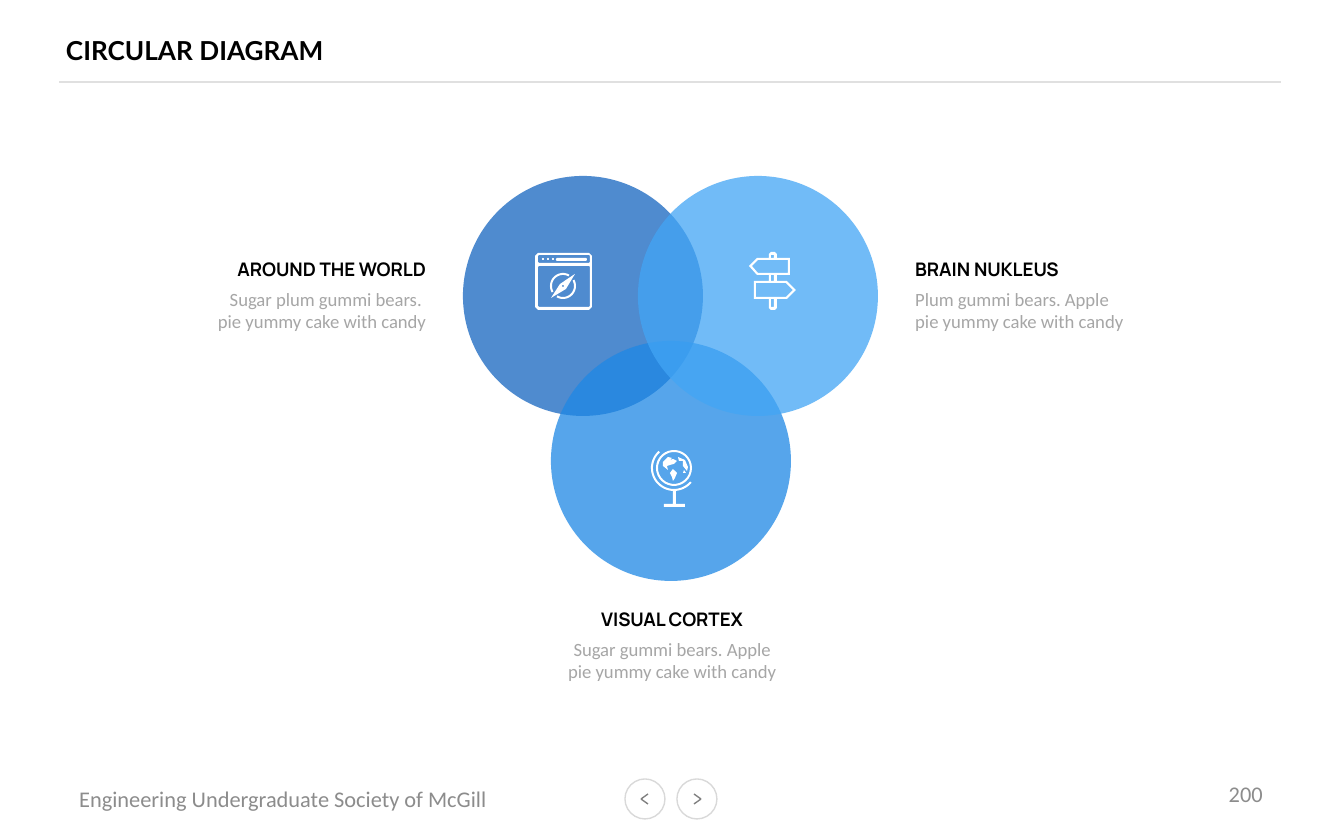
import math

import pptx
import pptx.dml.color
import pptx.enum.shapes
import pptx.enum.text
import pptx.oxml
import pptx.oxml.ns
import pptx.util

SCALE = 914400 / 134.4  # EMU in one px
ALIGN = pptx.enum.text.PP_ALIGN
ANCHOR = pptx.enum.text.MSO_ANCHOR
AUTO = pptx.enum.text.MSO_AUTO_SIZE
WHITE, BLACK, GREY, PALE = "FFFFFF", "000000", "8C8C8C", "A6A6A6"
BODY_WIDTH = 288


def px(n):
    return pptx.util.Emu(round(n * SCALE))


def rgb(hex_string):
    return pptx.dml.color.RGBColor.from_string(hex_string)


def paint(sp, fill, line=None, alpha=None):
    """Set fill, outline and transparency, and drop the shadow."""
    sp.shadow.inherit = False
    sp.fill.solid()
    sp.fill.fore_color.rgb = rgb(fill)
    if alpha:
        color = sp.fill._xPr.find(".//" + pptx.oxml.ns.qn("a:srgbClr"))
        color.append(pptx.oxml.parse_xml(
            f'<a:alpha {pptx.oxml.ns.nsdecls("a")} val="{alpha * 1000}"/>'))
    if line:
        sp.line.color.rgb = rgb(line)
        sp.line.width = pptx.util.Pt(0.75)
    else:
        sp.line.fill.background()


def add_circle(s, cx, cy, r, fill, line=None, alpha=None):
    sp = s.shapes.add_shape(pptx.enum.shapes.MSO_SHAPE.OVAL,
                            px(cx - r), px(cy - r), px(2 * r), px(2 * r))
    paint(sp, fill, line, alpha)


def add_line(s, x1, y1, x2, y2, color):
    line = s.shapes.add_connector(pptx.enum.shapes.MSO_CONNECTOR.STRAIGHT,
                                  px(x1), px(y1), px(x2), px(y2))
    line.line.color.rgb = rgb(color)
    line.line.width = pptx.util.Pt(0.75)
    line._element.spPr.append(pptx.oxml.parse_xml(
        f'<a:effectLst {pptx.oxml.ns.nsdecls("a")}/>'))


def add_icon(s, contours):
    """Draw one white shape; a contour inside another cuts a hole."""
    contours = [[(px(x), px(y)) for x, y in points] for points in contours]
    builder = s.shapes.build_freeform(*contours[0][0])
    for i, (first, *rest) in enumerate(contours):
        if i:
            builder.move_to(*first)
        builder.add_line_segments(rest, close=True)
    paint(builder.convert_to_shape(), WHITE)


def arc(cx, cy, r, start=0, end=360):
    """Points of an arc in degrees, clockwise from east."""
    steps = 30
    angles = [math.radians(start + (end - start) * i / steps) for i in range(steps + 1)]
    return [(cx + r * math.cos(a), cy + r * math.sin(a)) for a in angles]


def band(cx, cy, inner, outer, start, end):
    return arc(cx, cy, outer, start, end) + arc(cx, cy, inner, end, start)


def box(left, top, right, bottom, cut=0):
    """Points of a rectangle with its corners cut off."""
    return [(left + cut, top), (right - cut, top), (right, top + cut),
            (right, bottom - cut), (right - cut, bottom), (left + cut, bottom),
            (left, bottom - cut), (left, top + cut)]


def add_text(s, x, y, w, h, lines, size, font, color, bold=False,
             align=ALIGN.LEFT, anchor=ANCHOR.TOP, wrap=True, auto=AUTO.NONE, inset=None):
    tf = s.shapes.add_textbox(px(x), px(y), px(w), px(h)).text_frame
    tf.word_wrap = wrap
    tf.auto_size = auto
    tf.vertical_anchor = anchor
    if inset is not None:
        tf.margin_left = tf.margin_right = tf.margin_top = tf.margin_bottom = px(inset)
    tf.text = "\n".join(lines)
    for p in tf.paragraphs:
        p.alignment = align
        for r in p.runs:
            r.font.size = pptx.util.Pt(size)
            r.font.name = font
            r.font.bold = bold
            r.font.color.rgb = rgb(color)


def add_caption(s, x, y, heading, heading_width, lines, align):
    """Put a heading over two lines of text, both set to the same side."""
    spare = BODY_WIDTH - heading_width
    shift = {ALIGN.LEFT: 0, ALIGN.CENTER: spare / 2, ALIGN.RIGHT: spare}[align]
    add_text(s, x, y + 30, BODY_WIDTH, 59, lines, 10, "Calibri", PALE,
             align=align, auto=AUTO.SHAPE_TO_FIT_TEXT)
    add_text(s, x + shift, y, heading_width, 36, [heading], 10, "Manrope", BLACK,
             bold=True, align=align, wrap=False, auto=AUTO.SHAPE_TO_FIT_TEXT)


def add_nav_button(s, cx, cy, direction):
    add_circle(s, cx, cy, 20, WHITE, line="D9D9D9")
    for dy in (-5, 5):
        add_line(s, cx + 4 * direction, cy, cx - 3 * direction, cy + dy, "808080")


def add_browser_icon(s):
    dots = [arc(x, 259, 1) for x in (543, 548, 553)]
    add_icon(s, [
        box(535, 253, 592, 310, 3),
        box(538, 255, 590, 263, 1),
        box(538, 266, 590, 307, 1),
        *dots,
        box(556, 258, 587, 261, 1),
        band(563, 286, 11, 13, -29, 120),
        band(563, 286, 11, 13, 150, 300),
        [(551, 298), (560, 284), (575, 274), (566, 289)],
        arc(563, 286, 1),
    ])


def add_signpost_icon(s):
    add_icon(s, [
        [(749, 266), (757, 258), (769, 258), (769, 254), (771, 252), (775, 252),
         (777, 254), (777, 258), (790, 258), (790, 275), (777, 275), (777, 281),
         (787, 281), (796, 290), (787, 299), (777, 299), (777, 308), (775, 310),
         (771, 310), (769, 308), (769, 299), (754, 299), (754, 281), (769, 281),
         (769, 275), (757, 275)],
        [(752, 266), (758, 260), (788, 260), (788, 273), (758, 273)],
        [(756, 283), (786, 283), (793, 290), (786, 297), (756, 297)],
        *[box(771, top, 774, bottom) for top, bottom in ((255, 258), (275, 281), (299, 307))],
    ])


def add_globe_icon(s):
    add_icon(s, [
        arc(674, 468, 18),
        arc(674, 468, 16),
        band(674, 468, 21, 23, 40, 228),
        [(673, 491), (676, 491), (676, 504), (685, 504), (685, 507),
         (664, 507), (664, 504), (673, 504)],
        [(663, 466), (668, 470), (667, 466), (670, 465), (674, 464), (677, 461),
         (673, 459), (670, 460), (672, 458), (668, 457), (663, 462)],
        [(673, 469), (670, 473), (672, 477), (673, 481), (675, 478), (677, 473)],
        [(678, 457), (679, 461), (683, 461), (683, 466), (687, 471), (688, 467),
         (685, 460)],
        [(684, 470), (683, 473), (686, 473)],
    ])


def main():
    prs = pptx.Presentation()
    prs.slide_width, prs.slide_height = px(1344), px(840)
    s = prs.slides.add_slide(prs.slide_layouts[6])

    add_line(s, 1281, 82, 59, 82, "E0E0E0")
    add_text(s, 66, 779, 456, 40, ["Engineering Undergraduate Society of McGill"],
             12, "Calibri", GREY, anchor=ANCHOR.MIDDLE)
    add_nav_button(s, 645, 799, -1)
    add_nav_button(s, 697, 799, 1)
    add_text(s, 66, 21, 896, 58, ["CIRCULAR DIAGRAM"], 14, "Lato", BLACK, bold=True,
             anchor=ANCHOR.MIDDLE, inset=0)
    add_text(s, 963, 772, 313, 44, ["200"], 12, "Calibri", GREY,
             align=ALIGN.RIGHT, anchor=ANCHOR.MIDDLE)

    for cx, cy, color in ((583, 296, "1565C0"), (671, 461, "1E88E5"), (758, 296, "42A5F5")):
        add_circle(s, cx, cy, 120, color, alpha=75)

    second_line = "pie yummy cake with candy"
    add_caption(s, 902, 251, "BRAIN NUKLEUS", 179,
                ["Plum gummi bears. Apple", second_line], ALIGN.LEFT)
    add_caption(s, 528, 601, "VISUAL CORTEX", 173,
                ["Sugar gummi bears. Apple", second_line], ALIGN.CENTER)
    add_caption(s, 151, 251, "AROUND THE WORLD", 226,
                ["Sugar plum gummi bears. ", second_line], ALIGN.RIGHT)

    add_browser_icon(s)
    add_globe_icon(s)
    add_signpost_icon(s)
    prs.save("out.pptx")


if __name__ == "__main__":
    main()
